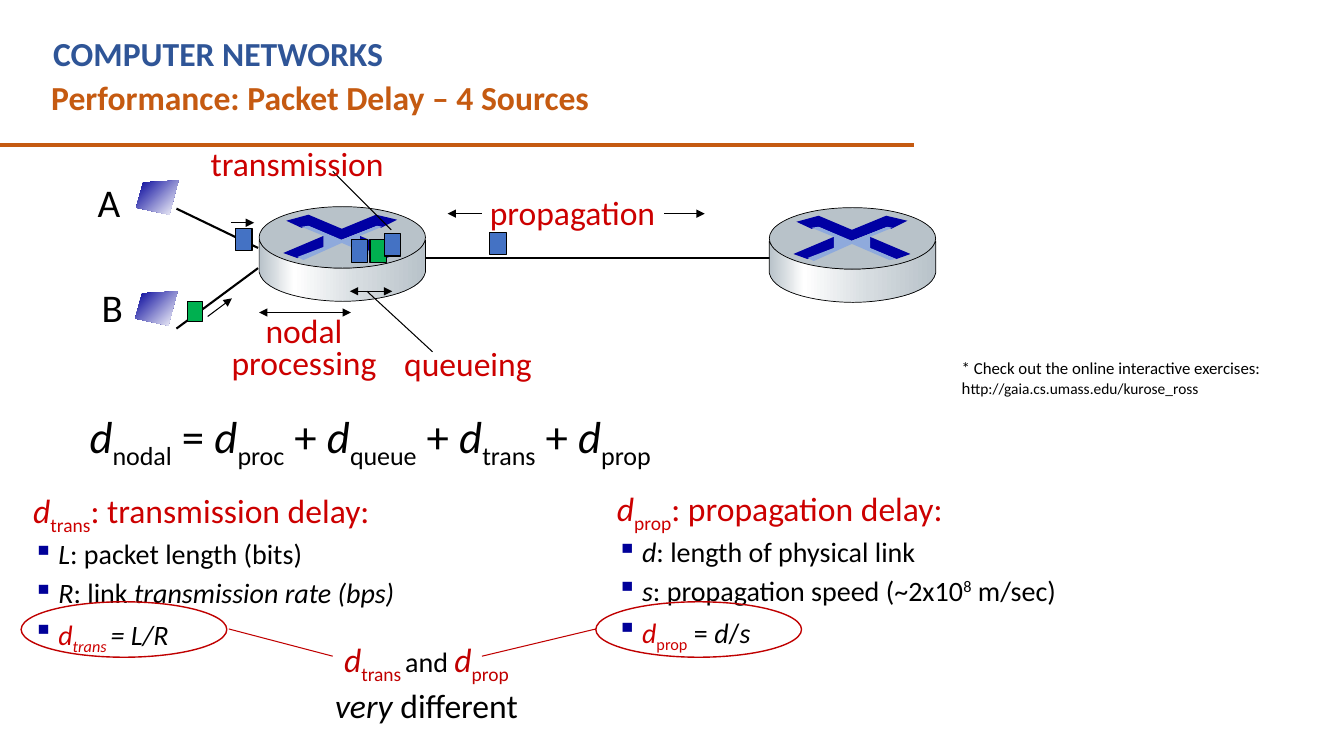
from dataclasses import dataclass
from typing import Optional

import lxml.etree
import pptx
import pptx.dml.color
import pptx.enum.shapes
import pptx.enum.text
import pptx.oxml.ns
import pptx.util

RGBColor = pptx.dml.color.RGBColor
MSO_SHAPE = pptx.enum.shapes.MSO_SHAPE
CENTER = pptx.enum.text.PP_ALIGN.CENTER
qn = pptx.oxml.ns.qn

PX = 9144
FONT = "Calibri"
BLACK = RGBColor(0x00, 0x00, 0x00)
WHITE = RGBColor(0xFF, 0xFF, 0xFF)
TITLE_BLUE = RGBColor(0x2F, 0x55, 0x97)
ORANGE = RGBColor(0xC5, 0x5A, 0x11)
RED = RGBColor(0xCC, 0x00, 0x00)
DARK_RED = RGBColor(0xC0, 0x00, 0x00)
NAVY = RGBColor(0x00, 0x00, 0x99)
EMBLEM_BLUE = RGBColor(0x00, 0x00, 0xA3)
EMBLEM_LIGHT = RGBColor(0x8F, 0xAA, 0xDC)
STEEL = RGBColor(0xB8, 0xC2, 0xC9)
PALE_STEEL = RGBColor(0xD6, 0xDC, 0xE0)
PACKET_BLUE = RGBColor(0x44, 0x72, 0xC4)
PACKET_GREEN = RGBColor(0x00, 0xB0, 0x50)

Point = tuple[float, float]


@dataclass(frozen=True)
class Run:
    text: str
    size: int = 24
    color: RGBColor = BLACK
    italic: bool = False
    bold: bool = False
    baseline: int = 0


@dataclass(frozen=True)
class Line:
    runs: tuple[Run, ...]
    bullet: bool = False
    spacing: Optional[float] = None
    before: int = 0
    align: Optional[pptx.enum.text.PP_ALIGN] = None


@dataclass(frozen=True)
class Box:
    left: int
    top: int
    width: int
    height: int
    lines: tuple[Line, ...]
    wrap: bool = False
    grow: bool = True


@dataclass(frozen=True)
class Stroke:
    start: tuple[int, int]
    end: tuple[int, int]
    width: float = 0.75
    color: RGBColor = BLACK
    head: bool = False
    tail: bool = False


@dataclass(frozen=True)
class Packet:
    left: int
    top: int
    color: RGBColor = PACKET_BLUE
    width: int = 16
    height: int = 22


def add_run(paragraph, text: str, *, size: int, color: RGBColor, italic: bool = False,
            bold: bool = False, baseline: int = 0) -> None:
    run = paragraph.add_run()
    run.text = text
    run.font.name = FONT
    run.font.size = pptx.util.Pt(size)
    run.font.color.rgb = color
    run.font.italic = italic
    run.font.bold = bold
    if baseline:
        run._r.get_or_add_rPr().set("baseline", str(baseline * 1000))


def add_bullet(paragraph) -> None:
    properties = paragraph._p.get_or_add_pPr()
    properties.set("marL", str(25 * PX))
    properties.set("indent", str(-25 * PX))
    color = lxml.etree.SubElement(properties, qn("a:buClr"))
    lxml.etree.SubElement(color, qn("a:srgbClr"), val=str(NAVY))
    lxml.etree.SubElement(properties, qn("a:buChar"), char="▪")


def add_box(shapes, box: Box) -> None:
    shape = shapes.add_textbox(*(PX * n for n in (box.left, box.top, box.width, box.height)))
    frame = shape.text_frame
    frame.word_wrap = box.wrap
    auto_size = pptx.enum.text.MSO_AUTO_SIZE
    frame.auto_size = auto_size.SHAPE_TO_FIT_TEXT if box.grow else auto_size.NONE
    for index, line in enumerate(box.lines):
        paragraph = frame.add_paragraph() if index else frame.paragraphs[0]
        if line.bullet:
            add_bullet(paragraph)
        paragraph.alignment = line.align
        paragraph.line_spacing = line.spacing
        paragraph.space_before = pptx.util.Pt(line.before)
        for run in line.runs:
            add_run(paragraph, run.text, size=run.size, color=run.color, italic=run.italic,
                    bold=run.bold, baseline=run.baseline)


def add_stroke(shapes, stroke: Stroke) -> None:
    ends = (PX * n for n in stroke.start + stroke.end)
    connector = shapes.add_connector(pptx.enum.shapes.MSO_CONNECTOR.STRAIGHT, *ends)
    connector.line.color.rgb = stroke.color
    connector.line.width = pptx.util.Pt(stroke.width)
    for tag, wanted in (("a:headEnd", stroke.head), ("a:tailEnd", stroke.tail)):
        if wanted:
            lxml.etree.SubElement(connector.line._get_or_add_ln(), qn(tag), type="triangle")
    lxml.etree.SubElement(connector._element.spPr, qn("a:effectLst"))


def style(shape, fill: Optional[RGBColor], line: Optional[RGBColor], width: float) -> None:
    shape.shadow.inherit = False
    if fill is None:
        shape.fill.background()
    else:
        shape.fill.solid()
        shape.fill.fore_color.rgb = fill
    if line is None:
        shape.line.fill.background()
    else:
        shape.line.color.rgb = line
        shape.line.width = pptx.util.Pt(width)


def add_preset(shapes, kind: MSO_SHAPE, left: int, top: int, width: int, height: int,
               fill: Optional[RGBColor], line: RGBColor, line_width: float) -> None:
    shape = shapes.add_shape(kind, *(PX * n for n in (left, top, width, height)))
    style(shape, fill, line, line_width)


def add_outline(shapes, left: int, top: int, points: list[Point], fill: Optional[RGBColor] = None,
                line: Optional[RGBColor] = None, width: float = 0.5):
    corners = [(round((left + x) * PX), round((top + y) * PX)) for x, y in points]
    builder = shapes.build_freeform(*corners[0], scale=1.0)
    builder.add_line_segments(corners[1:], close=True)
    shape = builder.convert_to_shape()
    style(shape, fill, line, width)
    return shape


def set_gradient(shape, stops: list[tuple[int, RGBColor]], angle: int) -> None:
    shape.fill.gradient()
    shape.fill.gradient_angle = angle
    stop_list = shape._element.spPr.find(qn("a:gradFill")).find(qn("a:gsLst"))
    for stop in list(stop_list):
        stop_list.remove(stop)
    for position, color in stops:
        stop = lxml.etree.SubElement(stop_list, qn("a:gs"), pos=str(position * 1000))
        lxml.etree.SubElement(stop, qn("a:srgbClr"), val=str(color))


def curve(a: Point, b: Point, c: Point, d: Point, steps: int = 16) -> list[Point]:
    def blend(t: float, axis: int) -> float:
        u = 1 - t
        return u**3 * a[axis] + 3 * u * u * t * b[axis] + 3 * u * t * t * c[axis] + t**3 * d[axis]
    return [(blend(i / steps, 0), blend(i / steps, 1)) for i in range(steps + 1)]


ROUTER_BODY = (curve((165, 65), (160, 87), (110, 94), (83, 94))
               + curve((83, 94), (55, 94), (5, 87), (0, 65))
               + curve((0, 33), (7, 52), (54, 61), (82, 61))
               + curve((82, 61), (109, 61), (157, 54), (165, 33)))
ROUTER_EMBLEM = [
    (EMBLEM_BLUE, [(116, 8), (137, 13), (121, 21), (117, 19), (81, 33), (49, 19), (42, 21),
                   (27, 14), (49, 8), (82, 22)]),
    (EMBLEM_BLUE, [(100, 29), (140, 46), (126, 51), (99, 40)]),
    (EMBLEM_BLUE, [(64, 29), (64, 41), (38, 51), (24, 46)]),
    (EMBLEM_LIGHT, [(42, 20), (49, 19), (82, 33), (117, 19), (122, 20), (100, 29), (100, 40),
                    (126, 51), (119, 52), (82, 36), (44, 53), (38, 50), (64, 40), (64, 29)]),
]


def add_router(slide, left: int, top: int) -> None:
    shapes = slide.shapes.add_group_shape().shapes
    body = add_outline(shapes, left, top, ROUTER_BODY, line=BLACK)
    set_gradient(body, [(0, STEEL), (21, WHITE), (60, PALE_STEEL), (100, STEEL)], 0)
    add_preset(shapes, MSO_SHAPE.OVAL, left, top, 165, 61, STEEL, BLACK, 0.5)
    for color, points in ROUTER_EMBLEM:
        add_outline(shapes, left, top, points, fill=color)


def add_host(slide, left: int, top: int) -> None:
    screen = add_outline(slide.shapes, left, top, [(42, 0), (7, 2), (0, 27), (33, 34)])
    set_gradient(screen, [(0, NAVY), (100, WHITE)], 315)


def delay(name: str, size: int = 24, color: RGBColor = RED, slanted: bool = False) -> tuple[Run, Run]:
    return Run("d", size, color, italic=True), Run(name, size, color, italic=slanted, baseline=-25)


def bullet(*runs: Run) -> Line:
    return Line(runs, bullet=True, spacing=0.9, before=6)


def label(left: int, top: int, width: int, height: int, *texts: str, size: int = 24,
          color: RGBColor = RED) -> Box:
    lines = tuple(Line((Run(text, size, color),), spacing=0.8 if len(texts) > 1 else None,
                       align=CENTER if len(texts) > 1 else None) for text in texts)
    return Box(left, top, width, height, lines)


EQUATION = (*delay("nodal", 32, BLACK), Run(" = ", 32), *delay("proc", 32, BLACK), Run(" + ", 32),
            *delay("queue", 32, BLACK), Run(" + ", 32), *delay("trans", 32, BLACK), Run(" + ", 32),
            *delay("prop", 32, BLACK))
BOXES = [
    Box(43, 28, 820, 50, (Line((Run("COMPUTER NETWORKS", 24, TITLE_BLUE, bold=True),)),), wrap=True),
    Box(41, 71, 875, 50, (Line((Run("Performance: Packet Delay – 4 Sources", 24, ORANGE, bold=True),)),),
        wrap=True),
    label(476, 185, 186, 50, "propagation"),
    label(219, 310, 165, 76, "nodal", "processing"),
    label(391, 335, 148, 50, "queueing"),
    label(199, 137, 193, 50, "transmission"),
    label(87, 172, 43, 57, "A", size=28, color=BLACK),
    label(91, 276, 42, 57, "B", size=28, color=BLACK),
    Box(79, 404, 675, 61, (Line(EQUATION, spacing=0.85),), wrap=True, grow=False),
    Box(23, 482, 479, 227, (
        Line((*delay("trans"), Run(": transmission delay:", color=RED)), spacing=0.9),
        bullet(Run("L", 20, italic=True), Run(": packet length (bits)", 20)),
        bullet(Run("R", 20, italic=True), Run(": link ", 20), Run("transmission rate (bps)", 20, italic=True)),
        bullet(*delay("trans ", 20, slanted=True), Run("= L/R", 20, italic=True)),
    ), wrap=True, grow=False),
    Box(602, 482, 563, 240, (
        Line((*delay("prop"), Run(": propagation delay:", color=RED)), spacing=0.85),
        bullet(Run("d", 20, italic=True), Run(": length of physical link", 20)),
        bullet(Run("s", 20, italic=True), Run(": propagation speed (~2x10", 20),
               Run("8", 20, baseline=30), Run(" m/sec)", 20)),
        bullet(*delay("prop", 20), Run(" = ", 20), Run("d", 20, italic=True), Run("/", 20),
               Run("s", 20, italic=True)),
    ), wrap=True, grow=False),
    Box(944, 350, 342, 50, (Line((Run("* Check out the online interactive exercises: h", 12),
                                  Run("ttp://gaia.cs.umass.edu/kurose_ross", 11))),), wrap=True),
]
COMPARISON = Box(308, 629, 230, 91, (
    Line((*delay("trans", color=DARK_RED), Run(" ", 20, DARK_RED, baseline=-25), Run("and ", 20),
          *delay("prop", color=DARK_RED)), align=CENTER),
    Line((Run("very ", italic=True), Run("different")), align=CENTER),
), wrap=True)
LINKS = [
    Stroke((0, 144), (907, 144), 3, ORANGE),
    Stroke((175, 207), (256, 246), 1.5),
    Stroke((175, 326), (256, 266), 1.5),
    Stroke((422, 256), (793, 256), 2),
]
POINTERS = [
    Stroke((659, 212), (699, 212), tail=True),
    Stroke((478, 212), (444, 212), tail=True),
    Stroke((348, 310), (257, 310), head=True, tail=True),
    Stroke((389, 289), (347, 289), head=True, tail=True),
    Stroke((429, 349), (364, 289)),
    Stroke((229, 221), (252, 221), tail=True),
    Stroke((330, 170), (388, 228)),
    Stroke((206, 314), (230, 296), tail=True),
]
PACKETS = [
    Packet(486, 231), Packet(349, 238), Packet(367, 238, PACKET_GREEN), Packet(381, 232),
    Packet(234, 227), Packet(186, 299, PACKET_GREEN, 15, 20),
]


def main() -> None:
    presentation = pptx.Presentation()
    presentation.slide_width, presentation.slide_height = 1333 * PX, 750 * PX
    slide = presentation.slides.add_slide(presentation.slide_layouts[6])
    for link in LINKS:
        add_stroke(slide.shapes, link)
    for left, top in ((257, 205), (763, 206)):
        add_router(slide, left, top)
    for left, top in ((135, 179), (134, 289)):
        add_host(slide, left, top)
    for packet in PACKETS:
        add_preset(slide.shapes, MSO_SHAPE.RECTANGLE, packet.left, packet.top, packet.width,
                   packet.height, packet.color, BLACK, 0.75)
    for pointer in POINTERS:
        add_stroke(slide.shapes, pointer)
    for box in BOXES:
        add_box(slide.shapes, box)
    comparison = slide.shapes.add_group_shape().shapes
    add_box(comparison, COMPARISON)
    for left in (21, 591):
        add_preset(comparison, MSO_SHAPE.OVAL, left, 597, 204, 55, None, DARK_RED, 1)
    for start, end in (((591, 624), (478, 651)), ((227, 624), (330, 651))):
        add_stroke(comparison, Stroke(start, end, color=DARK_RED))
    presentation.save("out.pptx")


if __name__ == "__main__":
    main()
